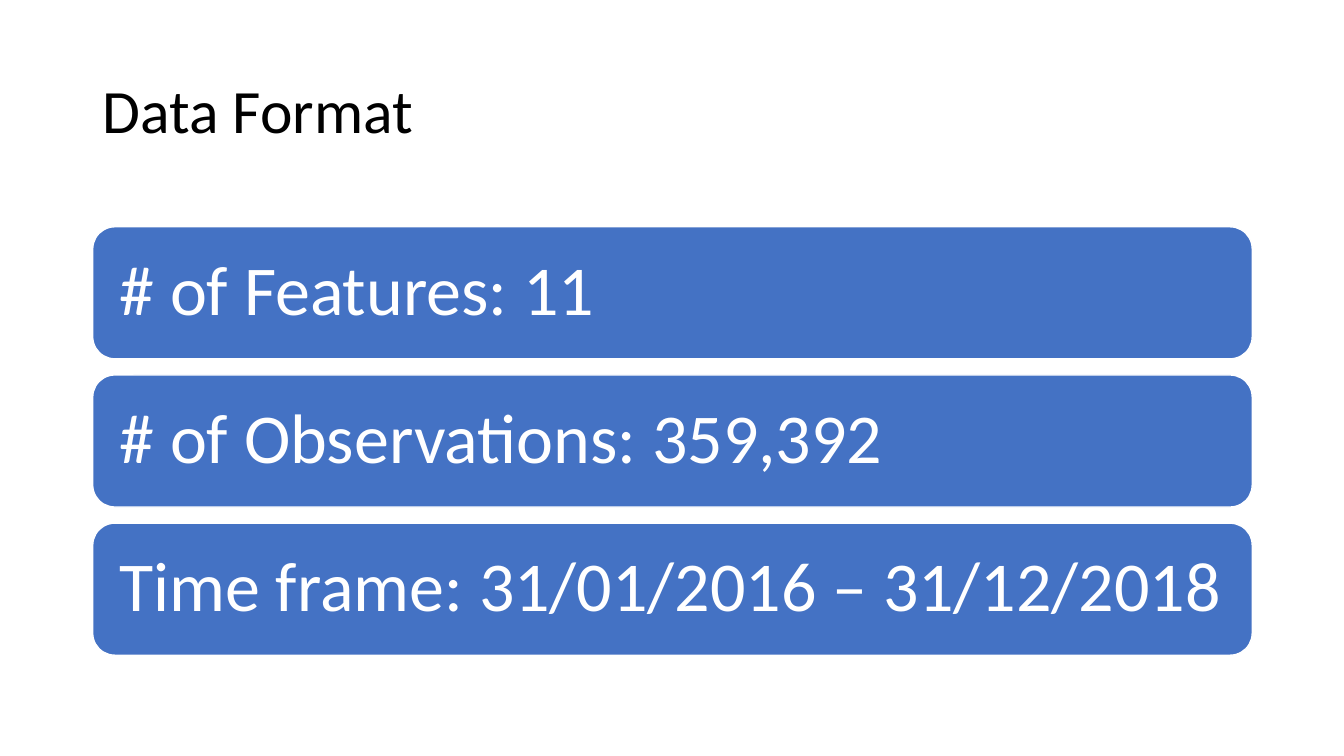
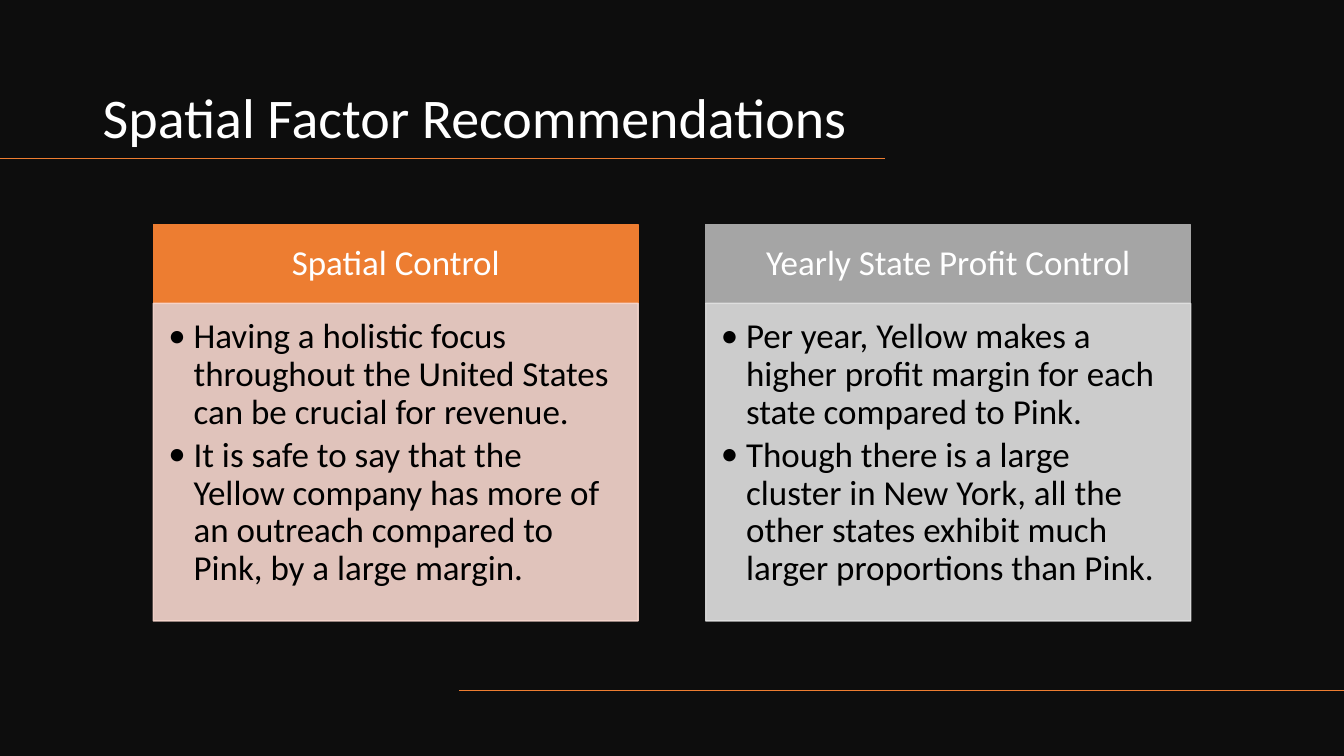
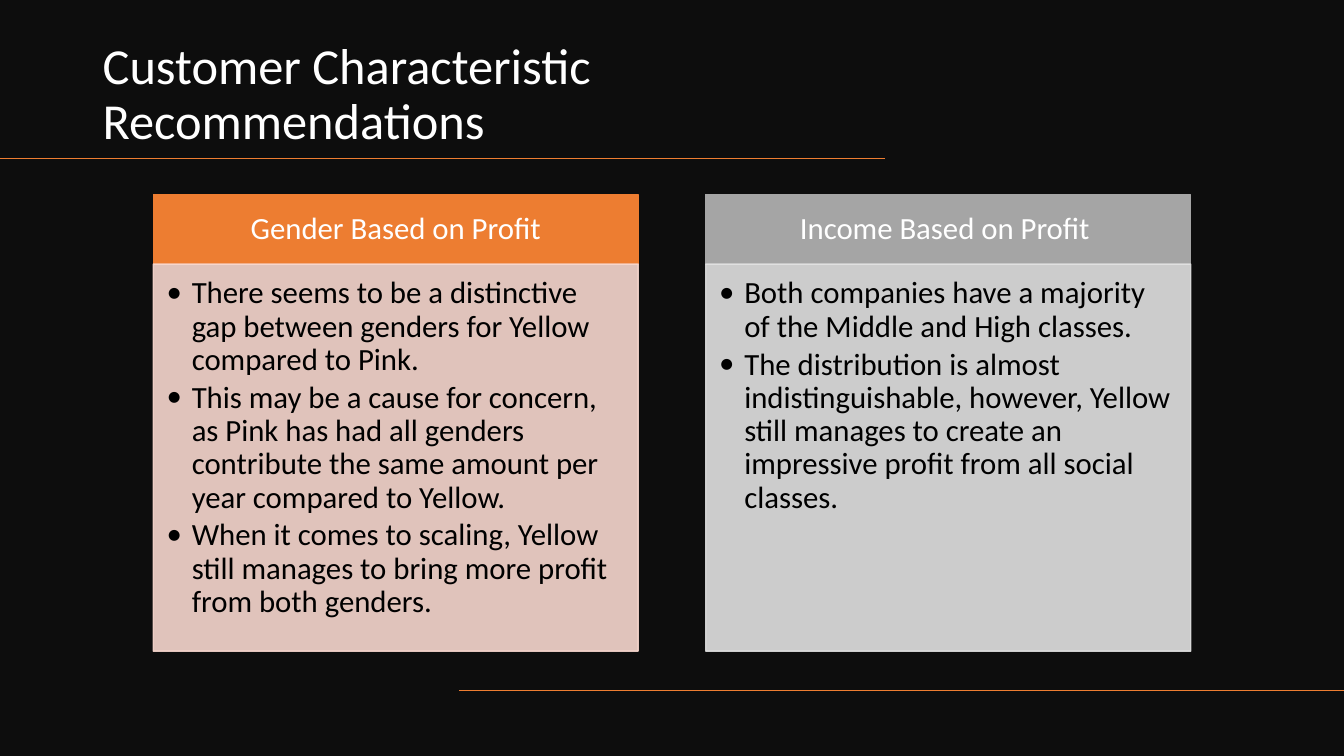
"""Build three slides: a data summary and two pages of recommendations."""
from dataclasses import dataclass

from lxml import etree
from pptx import Presentation
from pptx.dml.color import RGBColor
from pptx.enum.shapes import MSO_CONNECTOR, MSO_SHAPE
from pptx.enum.text import MSO_ANCHOR, PP_ALIGN
from pptx.oxml.ns import qn
from pptx.util import Inches, Pt

RECT, ROUND = MSO_SHAPE.RECTANGLE, MSO_SHAPE.ROUNDED_RECTANGLE
TOP, MIDDLE, BOTTOM = MSO_ANCHOR.TOP, MSO_ANCHOR.MIDDLE, MSO_ANCHOR.BOTTOM
LEFT, CENTER = PP_ALIGN.LEFT, PP_ALIGN.CENTER
STRAIGHT = MSO_CONNECTOR.STRAIGHT


@dataclass(frozen=True)
class Theme:
    font: str = "Calibri"
    white: str = "FFFFFF"
    black: str = "000000"
    night: str = "0D0D0D"
    blue: str = "4472C4"
    orange: str = "ED7D31"
    gray: str = "A5A5A5"
    peach: str = "F8D7CE"
    silver: str = "E1E1E1"
    title_size: int = 44
    fact_size: int = 50
    line_spacing: float = 0.9
    bullet_gap: float = 0.15
    bullet_indent: float = 0.25
    body_opacity: int = 90


THEME = Theme()


def write(holder, paragraphs, size, color, anchor, align=LEFT, pads=(0.1, 0.05, 0.1, 0.05), bullets=False):
    """Fill a text frame with evenly styled paragraphs."""
    frame = holder.text_frame
    sides = ("margin_left", "margin_top", "margin_right", "margin_bottom")
    frame_format = {"word_wrap": True, "vertical_anchor": anchor}
    frame_format.update((side, Inches(pad)) for side, pad in zip(sides, pads))
    for name, value in frame_format.items():
        setattr(frame, name, value)
    for index, words in enumerate(paragraphs):
        paragraph = frame.add_paragraph() if index else frame.paragraphs[0]
        paragraph.alignment = align
        paragraph.line_spacing = THEME.line_spacing
        run = paragraph.add_run()
        run.text = words
        for name, value in {"name": THEME.font, "size": Pt(size)}.items():
            setattr(run.font, name, value)
        run.font.color.rgb = RGBColor.from_string(color)
        if bullets:
            paragraph.space_after = Pt(size * THEME.bullet_gap)
            properties = paragraph._p.get_or_add_pPr()
            properties.set("marL", str(Inches(THEME.bullet_indent)))
            properties.set("indent", str(-Inches(THEME.bullet_indent)))
            etree.SubElement(properties, qn("a:buFont")).set("typeface", THEME.font)
            etree.SubElement(properties, qn("a:buChar")).set("char", "•")


def add_panel(slide, preset, box, fill, outline, opacity=100):
    """Add a filled, outlined shape without a shadow."""
    panel = slide.shapes.add_shape(preset, *map(Inches, box))
    panel.shadow.inherit = False
    panel.line.width = Pt(1)
    for paint, color in ((panel.fill, fill), (panel.line.fill, outline)):
        paint.solid()
        paint.fore_color.rgb = RGBColor.from_string(color)
    if opacity < 100:
        for color_node in panel._element.spPr.iter(qn("a:srgbClr")):
            etree.SubElement(color_node, qn("a:alpha")).set("val", str(opacity * 1000))
    return panel


deck = Presentation()
deck.slide_width, deck.slide_height = Inches(13.33), Inches(7.5)
blank = deck.slide_layouts[6]

summary = deck.slides.add_slide(blank)
title = summary.shapes.add_textbox(*map(Inches, (0.92, 0.4, 11.5, 1.45)))
write(title, ["Data Format"], THEME.title_size, THEME.black, MIDDLE)
facts = [
    "# of Features: 11",
    "# of Observations: 359,392",
    "Time frame: 31/01/2016 – 31/12/2018",
]
for row, fact in enumerate(facts):
    bar = add_panel(summary, ROUND, (0.92, 2.25 + row * 1.47, 11.5, 1.31), THEME.blue, THEME.white)
    write(bar, [fact], THEME.fact_size, THEME.white, MIDDLE, pads=(0.2, 0.2, 0.2, 0.2))

recommendations = [
    {
        "title": "Spatial Factor Recommendations",
        "title_size": 40, "size": 25, "top": 2.23, "header": 0.78, "body": 3.15,
        "columns": [
            ("Spatial Control", [
                "Having a holistic focus throughout the United States can be crucial for revenue.",
                "It is safe to say that the Yellow company has more of an outreach compared to Pink, by a large margin.",
            ]),
            ("Yearly State Profit Control", [
                "Per year, Yellow makes a higher profit margin for each state compared to Pink.",
                "Though there is a large cluster in New York, all the other states exhibit much larger "
                "proportions than Pink.",
            ]),
        ],
    },
    {
        "title": "Customer Characteristic Recommendations",
        "title_size": 36, "size": 22, "top": 1.93, "header": 0.69, "body": 3.84,
        "columns": [
            ("Gender Based on Profit", [
                "There seems to be a distinctive gap between genders for Yellow compared to Pink.",
                "This may be a cause for concern, as Pink has had all genders contribute the same amount per "
                "year compared to Yellow.",
                "When it comes to scaling, Yellow still manages to bring more profit from both genders.",
            ]),
            ("Income Based on Profit ", [
                "Both companies have a majority of the Middle and High classes.",
                "The distribution is almost indistinguishable, however, Yellow still manages to create an "
                "impressive profit from all social classes.",
            ]),
        ],
    },
]
column_colors = [(THEME.orange, THEME.peach), (THEME.gray, THEME.silver)]
column_left, column_width, column_step = 1.52, 4.81, 5.48
rules = [(8.78, 0, 1.57), (13.33, 4.55, 6.85)]

for page in recommendations:
    slide = deck.slides.add_slide(blank)
    add_panel(slide, RECT, (0, 0, 13.33, 7.5), THEME.night, THEME.night)
    title = slide.shapes.add_textbox(*map(Inches, (0.92, 0.42, 7.86, 1.12)))
    write(title, [page["title"]], page["title_size"], THEME.white, BOTTOM)
    for start, end, height in rules:
        rule = slide.shapes.add_connector(STRAIGHT, *map(Inches, (start, height, end, height)))
        rule.line.width = Pt(1)
        rule.line.color.rgb = RGBColor.from_string(THEME.orange)
        etree.SubElement(rule._element.spPr, qn("a:effectLst"))

    size, top, header_height = page["size"], page["top"], page["header"]
    header_pads = [size * share for share in (0.0075, 0.0045, 0.0075, 0.0045)]
    body_pads = [size * share for share in (0.006, 0.006, 0.0075, 0.009)]
    for index, (heading, points) in enumerate(page["columns"]):
        strong, pale = column_colors[index]
        left = column_left + index * column_step
        header = add_panel(slide, RECT, (left, top, column_width, header_height), strong, strong)
        write(header, [heading], size, THEME.white, MIDDLE, CENTER, header_pads)
        body_box = (left, top + header_height, column_width, page["body"])
        body = add_panel(slide, RECT, body_box, pale, pale, THEME.body_opacity)
        write(body, points, size, THEME.black, TOP, pads=body_pads, bullets=True)

deck.save("out.pptx")
